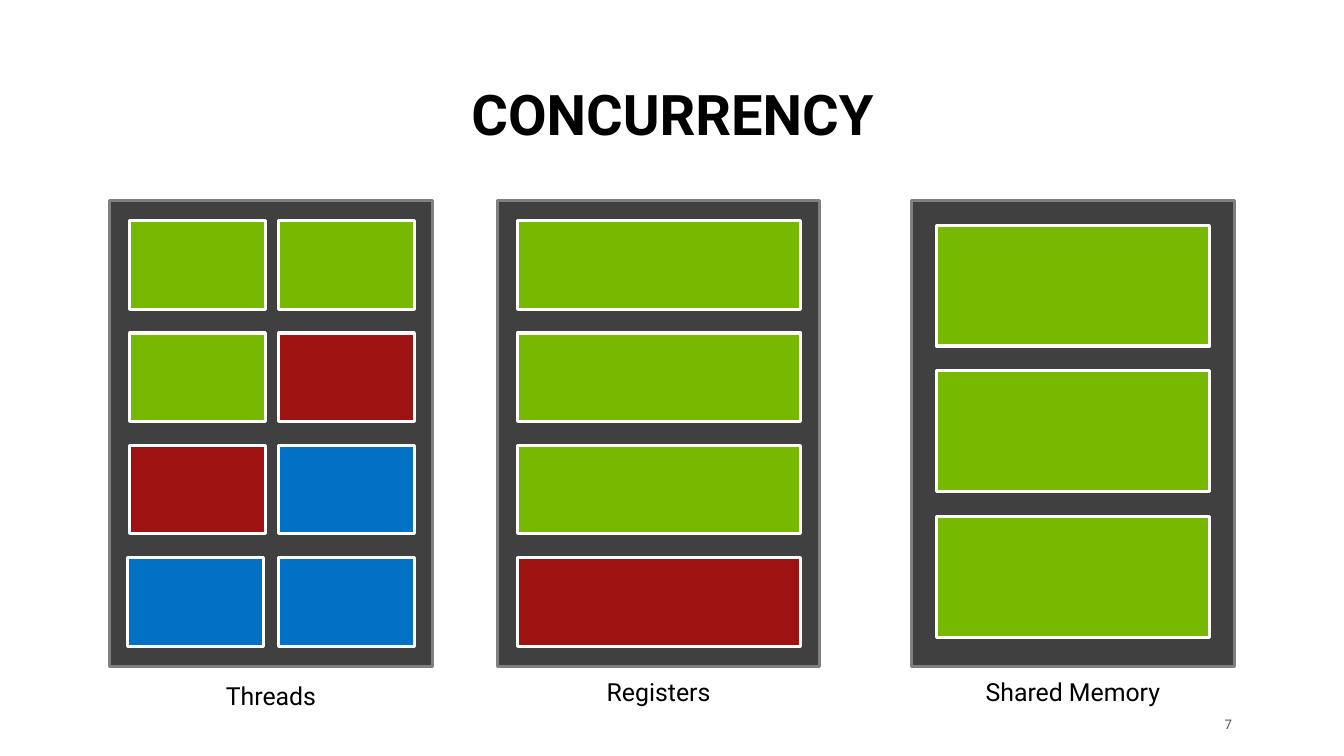
"""Build the Concurrency slide: three resource panels filled with coloured blocks."""
from pptx import Presentation
from pptx.dml.color import RGBColor
from pptx.enum import shapes, text
from pptx.util import Inches, Pt

GREEN, RED, BLUE = "76B900", "9E1212", "0071C5"


def block(left, top, width, height, fill, line):
    rect = slide.shapes.add_shape(shapes.MSO_SHAPE.RECTANGLE, Inches(left), Inches(top),
                                  Inches(width), Inches(height))
    rect.shadow.inherit = False
    rect.fill.solid()
    rect.fill.fore_color.rgb = RGBColor.from_string(fill)
    rect.line.color.rgb = RGBColor.from_string(line)
    rect.line.width = Pt(2)


def write(holder, words, size, color, align, bold=False):
    paragraph = holder.text_frame.paragraphs[0]
    paragraph.alignment = align
    run = paragraph.add_run()
    run.text = words
    run.font.name = "Roboto"
    run.font.size = Pt(size)
    run.font.bold = bold
    run.font.color.rgb = RGBColor.from_string(color)
    return paragraph


deck = Presentation()
deck.slide_width, deck.slide_height = Inches(12), Inches(6.75)
slide = deck.slides.add_slide(deck.slide_layouts[5])

title = slide.shapes.title
title.left, title.top = Inches(0.55), Inches(0.72)
title.width, title.height = Inches(10.91), Inches(0.65)
title.text_frame.vertical_anchor = text.MSO_ANCHOR.BOTTOM
title.text_frame.auto_size = text.MSO_AUTO_SIZE.NONE
heading = write(title, "CONCURRENCY", 36, "000000", text.PP_ALIGN.CENTER, True)
heading.line_spacing = 0.9

panels = [
    ("Threads", 0.98, 6.03, (1.16, 1.97), (1.21, 0.79), (1.33, 1.003),
     [[GREEN, GREEN], [GREEN, RED], [RED, BLUE], [BLUE, BLUE]]),
    ("Registers", 4.44, 5.99, (4.62, 1.97), (2.53, 0.79), (0, 1.003),
     [[GREEN], [GREEN], [GREEN], [RED]]),
    ("Shared Memory", 8.14, 5.99, (8.36, 2.01), (2.44, 1.08), (0, 1.3),
     [[GREEN], [GREEN], [GREEN]]),
]
for name, panel_left, label_top, (left, top), (width, height), (step_x, step_y), rows in panels:
    block(panel_left, 1.79, 2.88, 4.16, "404040", "808080")
    for row, colors in enumerate(rows):
        for column, color in enumerate(colors):
            nudge = 0.02 if (name, row, column) == ("Threads", 3, 0) else 0
            block(left + column * step_x - nudge, top + row * step_y,
                  width, height, color, "FFFFFF")
    label = slide.shapes.add_textbox(Inches(panel_left), Inches(label_top),
                                     Inches(2.88), Inches(0.37))
    label.text_frame.word_wrap = True
    write(label, name, 16, "000000", text.PP_ALIGN.CENTER)

page_number = slide.shapes.add_textbox(Inches(10.68), Inches(6.38), Inches(0.35), Inches(0.18))
frame = page_number.text_frame
frame.word_wrap = True
frame.vertical_anchor = text.MSO_ANCHOR.MIDDLE
frame.margin_left = frame.margin_top = frame.margin_bottom = 0
frame.margin_right = Inches(0.03)
write(page_number, "7", 8.5, "505050", text.PP_ALIGN.RIGHT)

deck.save("out.pptx")
